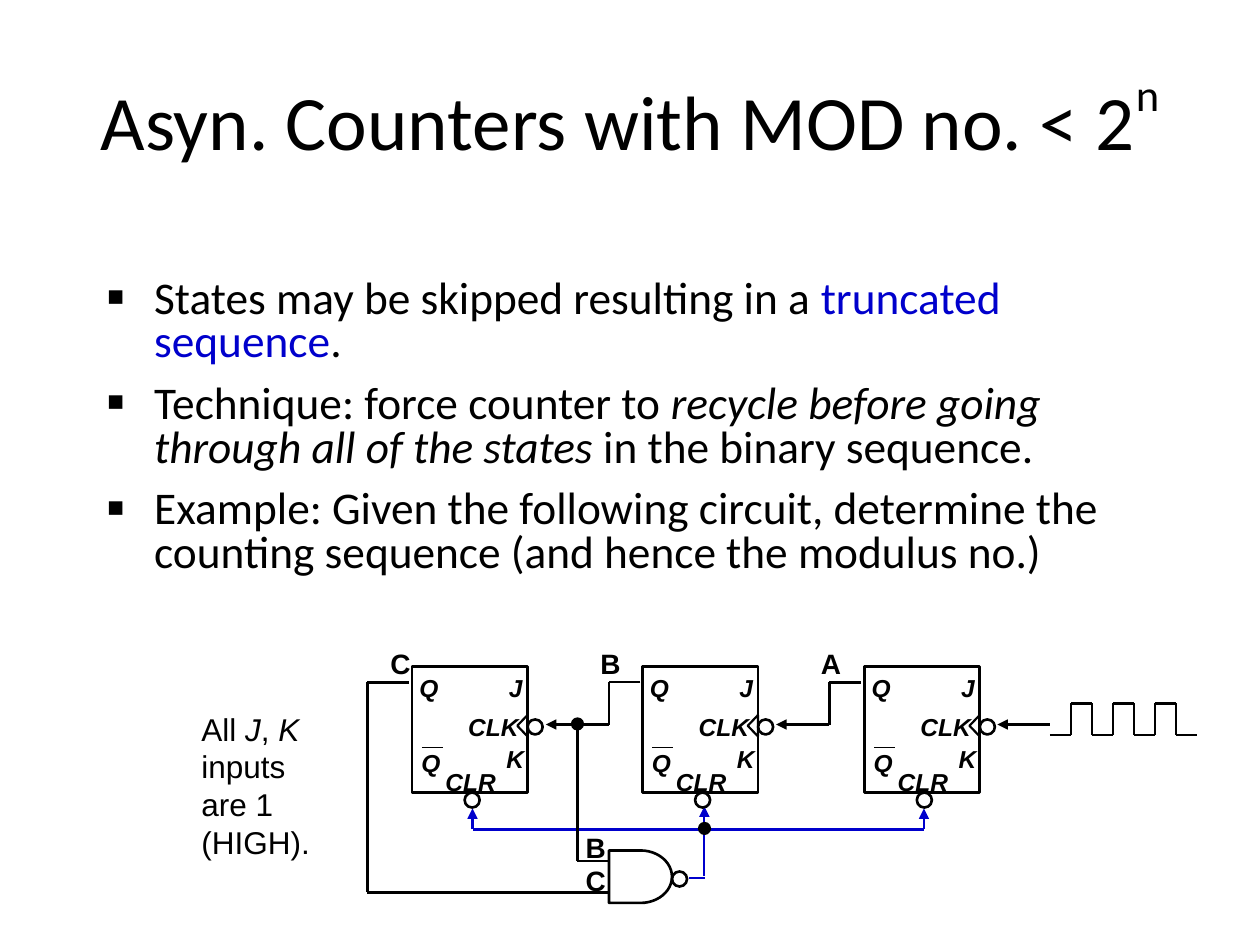
import itertools
from dataclasses import dataclass

import lxml.etree
import pptx
import pptx.dml.color
import pptx.enum.shapes
import pptx.enum.text
import pptx.oxml.ns
import pptx.util

Pt = pptx.util.Pt
SHAPE = pptx.enum.shapes.MSO_SHAPE
ANCHOR = pptx.enum.text.MSO_ANCHOR
ALIGN = pptx.enum.text.PP_ALIGN
BLACK = "000000"
BLUE = "0000CC"
PIN = {"size": Pt(14), "name": "Arial", "bold": True, "italic": True}
SIGNAL = {"size": Pt(16), "name": "Arial", "bold": True}
NOTE = {"size": Pt(18), "name": "Arial"}
BODY = {"size": Pt(25.9), "name": "Calibri"}
TITLE = {"size": Pt(44), "name": "Calibri"}


@dataclass(frozen=True)
class Span:
    text: str
    color: str = BLACK
    italic: bool = False
    baseline: int = 0


@dataclass(frozen=True)
class Label:
    text: str
    left: float
    top: float
    width: float
    height: float = 23.8


@dataclass(frozen=True)
class Wire:
    points: tuple
    color: str = BLACK
    arrow: bool = False
    weight: float = 1.25


@dataclass(frozen=True)
class Outline:
    kind: SHAPE
    left: float
    top: float
    width: float
    height: float
    fill: str = ""
    weight: float = 1.5
    rotation: float = 0


def rgb(color: str) -> pptx.dml.color.RGBColor:
    return pptx.dml.color.RGBColor.from_string(color)


def add_element(parent, tag: str, **attributes):
    return lxml.etree.SubElement(parent, pptx.oxml.ns.qn(tag), attributes)


def write_spans(para, spans, style: dict) -> None:
    for item in spans:
        span = para.add_run()
        span.text = item.text
        for key, value in style.items():
            setattr(span.font, key, value)
        span.font.color.rgb = rgb(item.color)
        if item.italic:
            span.font.italic = True
        if item.baseline:
            span._r.get_or_add_rPr().set("baseline", str(item.baseline * 1000))


def add_text_box(page, label: Label, paragraphs, style: dict, wrap: bool = True):
    box = page.shapes.add_textbox(Pt(label.left), Pt(label.top), Pt(label.width), Pt(label.height))
    box.text_frame.word_wrap = wrap
    for index, spans in enumerate(paragraphs):
        para = box.text_frame.add_paragraph() if index else box.text_frame.paragraphs[0]
        write_spans(para, spans, style)
    return box


def add_label(page, label: Label, style: dict, wrap: bool = True) -> None:
    add_text_box(page, label, [[Span(line)] for line in label.text.split("\n")], style, wrap)


def add_wire(page, wire: Wire) -> None:
    for start, end in itertools.pairwise(wire.points):
        line = page.shapes.add_connector(
            pptx.enum.shapes.MSO_CONNECTOR.STRAIGHT, *(Pt(value) for value in start + end)
        )
        line.line.color.rgb = rgb(wire.color)
        line.line.width = Pt(wire.weight)
        properties = line._element.spPr
        if wire.arrow and end == wire.points[-1]:
            add_element(properties.find(pptx.oxml.ns.qn("a:ln")), "a:tailEnd", type="triangle")
        add_element(properties, "a:effectLst")


def add_outline(page, item: Outline) -> None:
    shape = page.shapes.add_shape(
        item.kind, Pt(item.left), Pt(item.top), Pt(item.width), Pt(item.height)
    )
    shape.shadow.inherit = False
    shape.rotation = item.rotation
    shape.line.color.rgb = rgb(BLACK)
    shape.line.width = Pt(item.weight)
    if item.fill:
        shape.fill.solid()
        shape.fill.fore_color.rgb = rgb(item.fill)
    else:
        shape.fill.background()


def add_flip_flop(page, left: float) -> None:
    add_outline(page, Outline(SHAPE.RECTANGLE, left, 380.9, 66, 72))
    add_outline(page, Outline(SHAPE.ISOSCELES_TRIANGLE, left + 56.9, 411.8, 12.2, 5.8, weight=1.25, rotation=270))
    add_wire(page, Wire(((left + 5.6, 427), (left + 17.6, 427)), weight=0.75))
    for across, top in ((30, 452.9), (66, 411.1)):
        add_outline(page, Outline(SHAPE.OVAL, left + across, top, 8.6, 8.6))
    for text, across, top, width in (
        ("K", 46.8, 421.9, 24.5),
        ("J", 48.2, 380.9, 22.3),
        ("Q", -2.9, 380.9, 25.2),
        ("Q", -1.8, 424.1, 25.2),
        ("CLK", 25, 403.2, 43.2),
        ("CLR", 12, 434.9, 43.2),
    ):
        add_label(page, Label(text, left + across, top, width), PIN, wrap=False)


def pulse_points(left: float, low: float, high: float, step: float, count: int) -> tuple:
    points = [(left, low)]
    for number in range(count):
        rise = left + step * (2 * number + 1)
        points += [(rise, low), (rise, high), (rise + step, high), (rise + step, low)]
    return (*points, (left + step * (2 * count + 1), low))


def add_title(page) -> None:
    title = page.shapes.title
    for key, value in {"left": 36, "top": 21.6, "width": 648, "height": 90}.items():
        setattr(title, key, Pt(value))
    title.text_frame.vertical_anchor = ANCHOR.MIDDLE
    para = title.text_frame.paragraphs[0]
    para.alignment = ALIGN.CENTER
    write_spans(para, [Span("Asyn. Counters with MOD no. < 2"), Span("n", baseline=50)], TITLE)


def add_body(page) -> None:
    paragraphs = (
        (Span("States may be skipped resulting in a "), Span("truncated sequence", BLUE), Span(".")),
        (
            Span("Technique: force counter to "),
            Span("recycle before going through all of the states", italic=True),
            Span(" in the binary sequence."),
        ),
        (Span("Example: Given the following circuit, determine the counting sequence (and hence the modulus no.)"),),
    )
    body = add_text_box(page, Label("", 54, 156.2, 606.2, 186.5), paragraphs, BODY)
    for index, para in enumerate(body.text_frame.paragraphs):
        para.line_spacing = 0.8
        para.space_before = Pt(10.4 if index else 0)
        properties = para._p.get_or_add_pPr()
        properties.set("marL", str(Pt(27)))
        properties.set("indent", str(-Pt(27)))
        add_element(properties, "a:buSzPct", val="120000")
        add_element(properties, "a:buFont", typeface="Arial")
        add_element(properties, "a:buChar", char="▪")


def add_circuit(page) -> None:
    add_outline(page, Outline(SHAPE.FLOWCHART_DELAY, 348, 486, 36, 30))
    add_outline(page, Outline(SHAPE.OVAL, 384, 498, 8.6, 8.6))
    for wire in (
        Wire(((270, 474), (528, 474)), BLUE),
        Wire(((402.5, 500.4), (402.5, 460.8)), BLUE, True),
        Wire(((393.8, 501.8), (403, 501.8)), BLUE),
        Wire(((270, 474), (270, 462)), BLUE, True),
        Wire(((528, 474), (528, 462)), BLUE, True),
        Wire(((366, 389.6), (348, 389.6), (348, 414), (312, 414)), arrow=True),
        Wire(((492, 390), (474, 390), (474, 414), (443.5, 414)), arrow=True),
        Wire(((600, 414), (570, 414)), arrow=True),
        Wire(((330, 414), (330, 492), (348, 492))),
        Wire(((233.5, 390), (210, 390), (210, 510), (348, 510))),
        Wire(pulse_points(600, 420, 402, 12, 3)),
    ):
        add_wire(page, wire)
    for left, top in ((399.6, 470.4), (327, 410.7)):
        add_outline(page, Outline(SHAPE.OVAL, left, top, 6, 6, BLACK))
    for left in (235.5, 367.2, 493.9):
        add_flip_flop(page, left)
    for text, left in (("C", 216), ("B", 336), ("A", 462)):
        add_label(page, Label(text, left, 366, 24, 26.6), SIGNAL)
    add_label(page, Label("B\nC", 327.6, 470.9, 30.2, 46), SIGNAL)
    note = (Span("All "), Span("J", italic=True), Span(", "), Span("K", italic=True), Span(" inputs are 1 (HIGH)."))
    add_text_box(page, Label("", 108, 402, 90, 93.6), [note], NOTE)


def main() -> None:
    deck = pptx.Presentation()
    deck.slide_width, deck.slide_height = Pt(720), Pt(540)
    page = deck.slides.add_slide(deck.slide_layouts.get_by_name("Title Only"))
    add_title(page)
    add_body(page)
    add_circuit(page)
    deck.save("out.pptx")


if __name__ == "__main__":
    main()
